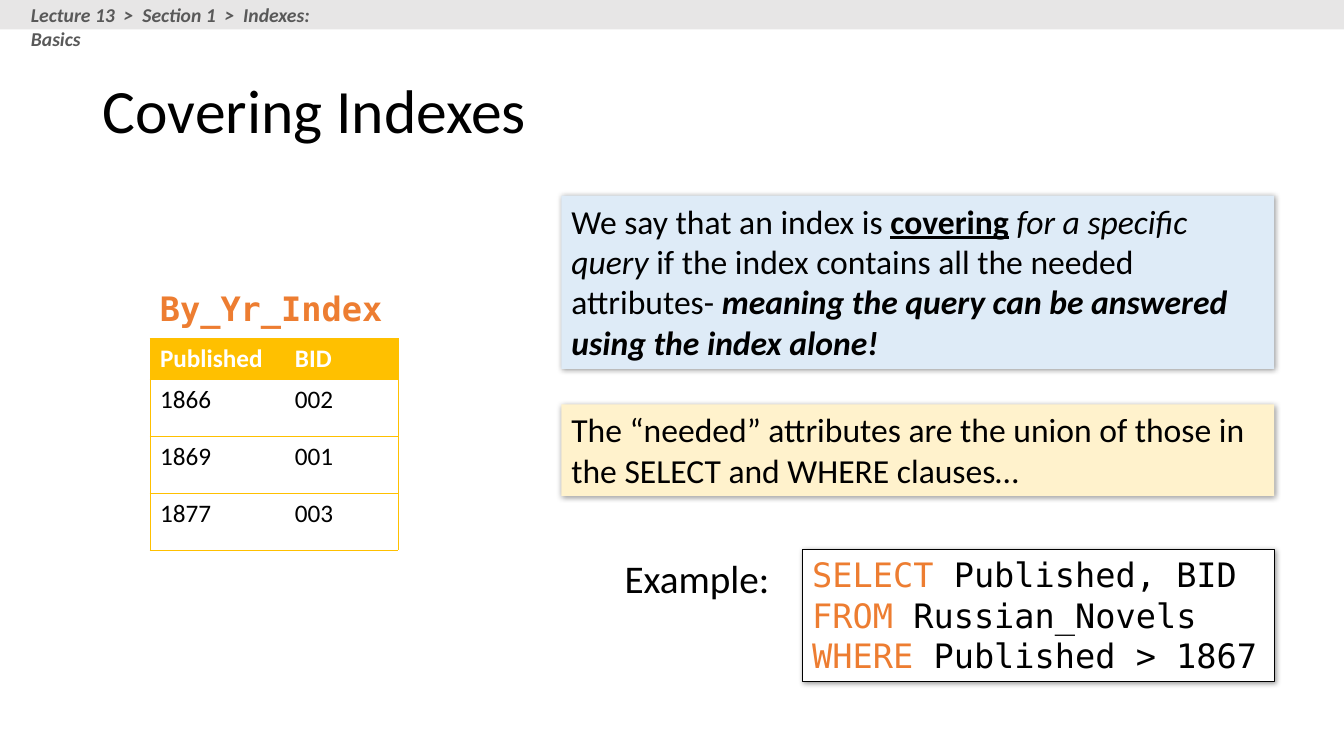
from lxml import etree
from pptx import Presentation
from pptx.dml.color import RGBColor
from pptx.enum.shapes import MSO_SHAPE
from pptx.enum.text import MSO_ANCHOR, PP_ALIGN
from pptx.oxml.ns import qn
from pptx.util import Cm, Pt

RECTANGLE = MSO_SHAPE.RECTANGLE
TOP, MIDDLE = MSO_ANCHOR.TOP, MSO_ANCHOR.MIDDLE
LEFT = PP_ALIGN.LEFT

COLORS = {
    "black": "000000",
    "white": "FFFFFF",
    "orange": "ED7D31",
    "gold": "FFC000",
    "pale_blue": "DEEBF7",
    "pale_yellow": "FFF2CC",
    "bar": "E7E6E6",
    "gray": "595959",
}
BODY = {"name": "Calibri", "size": Pt(24), "color": "black"}
CODE = {**BODY, "name": "DejaVu Sans Mono"}
KEYWORD = {**CODE, "color": "orange"}
CELL = {**BODY, "size": Pt(18)}
HEADER = {**CELL, "color": "white", "bold": True}

INDEX_ROWS = [("Published", "BID"), ("1866", "002"), ("1869", "001"), ("1877", "003")]
COLUMN_WIDTHS = (3.4, 2.85)
HEADER_HEIGHT, ROW_HEIGHT = 1.04, 1.43

BOX_LEFT, BOX_WIDTH = 14.15, 17.96
EXAMPLE_TOP = 13.84


def rgb(color):
    return RGBColor.from_string(COLORS[color])


def format_font(font, style):
    for attribute, value in style.items():
        if attribute == "color":
            font.color.rgb = rgb(value)
        else:
            setattr(font, attribute, value)


def write_text(frame, runs, wrap=True, anchor=TOP):
    """Fill the frame's first paragraph with (text, style) runs; a newline text is a line break."""
    frame.word_wrap = wrap
    frame.vertical_anchor = anchor
    paragraph = frame.paragraphs[0]
    paragraph.alignment = LEFT
    for text, style in runs:
        if text == "\n":
            paragraph.add_line_break()
            continue
        run = paragraph.add_run()
        run.text = text
        format_font(run.font, style)
    return paragraph


def add_label(slide, place, text, style, wrap=False, anchor=TOP):
    box = slide.shapes.add_textbox(*map(Cm, place))
    return write_text(box.text_frame, [(text, style)], wrap, anchor)


def add_shadow(shape):
    effects = shape._element.spPr.find(qn("a:effectLst"))
    shadow = etree.SubElement(effects, qn("a:outerShdw"), blurRad=str(Pt(4)),
                              dist=str(Pt(1)), dir=str(45 * 60000), algn="tl", rotWithShape="0")
    color = etree.SubElement(shadow, qn("a:srgbClr"), val=COLORS["black"])
    etree.SubElement(color, qn("a:alpha"), val="40000")


def add_box(slide, place, fill, runs=(), line=None, shadow=True, wrap=True):
    shape = slide.shapes.add_shape(RECTANGLE, *map(Cm, place))
    shape.shadow.inherit = False
    shape.fill.solid()
    shape.fill.fore_color.rgb = rgb(fill)
    if line:
        shape.line.color.rgb = rgb(line)
        shape.line.width = Pt(0.75)
    else:
        shape.line.fill.background()
    if shadow:
        add_shadow(shape)
    if runs:
        write_text(shape.text_frame, runs, wrap)


def set_borders(cell, colors):
    """Draw the four sides of a cell; a side whose color is None stays empty."""
    properties = cell._tc.get_or_add_tcPr()
    for side in "LRTB":
        line = etree.SubElement(properties, qn(f"a:ln{side}"), w=str(Pt(0.5)))
        if colors[side]:
            fill = etree.SubElement(line, qn("a:solidFill"))
            etree.SubElement(fill, qn("a:srgbClr"), val=COLORS[colors[side]])
        else:
            etree.SubElement(line, qn("a:noFill"))


def add_index_table(slide, left, top):
    height = HEADER_HEIGHT + ROW_HEIGHT * (len(INDEX_ROWS) - 1)
    place = (left, top, sum(COLUMN_WIDTHS), height)
    table = slide.shapes.add_table(len(INDEX_ROWS), len(COLUMN_WIDTHS), *map(Cm, place)).table
    table.horz_banding = False
    for column, width in zip(table.columns, COLUMN_WIDTHS):
        column.width = Cm(width)
    last_column = len(COLUMN_WIDTHS) - 1
    for row_number, values in enumerate(INDEX_ROWS):
        is_header = row_number == 0
        table.rows[row_number].height = Cm(HEADER_HEIGHT if is_header else ROW_HEIGHT)
        for column_number, value in enumerate(values):
            cell = table.cell(row_number, column_number)
            set_borders(cell, {
                "L": "gold" if column_number == 0 else None,
                "R": "gold" if column_number == last_column else None,
                "T": "gold",
                "B": "gold",
            })
            if is_header:
                cell.fill.solid()
                cell.fill.fore_color.rgb = rgb("gold")
            else:
                cell.fill.background()
            write_text(cell.text_frame, [(value, HEADER if is_header else CELL)])


def main():
    presentation = Presentation()
    presentation.slide_width, presentation.slide_height = Cm(33.87), Cm(19.05)
    slide = presentation.slides.add_slide(presentation.slide_layouts[6])

    title = add_label(slide, (2.34, 1.02, 29.21, 3.68), "Covering Indexes",
                      {**BODY, "size": Pt(44)}, wrap=True, anchor=MIDDLE)
    title.line_spacing = 0.9

    add_index_table(slide, 3.78, 8.53)
    add_label(slide, (3.78, 7.14, 6.2, 1.27), "By_Yr_Index", {**KEYWORD, "bold": True})

    add_box(slide, (BOX_LEFT, 4.93, BOX_WIDTH, 4.37), "pale_blue", [
        ("We say that an index is ", BODY),
        ("covering", {**BODY, "bold": True, "underline": True}),
        (" ", BODY),
        ("for a specific query", {**BODY, "italic": True}),
        (" if the index contains all the needed attributes- ", BODY),
        ("meaning the query can be answered using the index alone!",
         {**BODY, "bold": True, "italic": True}),
    ])
    add_box(slide, (BOX_LEFT, 10.19, BOX_WIDTH, 2.31), "pale_yellow", [
        ("The “needed” attributes are the union of those in the SELECT and WHERE clauses…", BODY),
    ])

    add_box(slide, (20.22, EXAMPLE_TOP, 11.89, 3.33), "white", [
        ("SELECT ", KEYWORD), ("Published, BID", CODE), ("\n", CODE),
        ("FROM ", KEYWORD), ("Russian_Novels", CODE), ("\n", CODE),
        ("WHERE ", KEYWORD), ("Published > 1867", CODE),
    ], line="black", wrap=False)
    add_label(slide, (15.49, EXAMPLE_TOP, 4.19, 1.45), "Example:", {**BODY, "size": Pt(28)})

    add_box(slide, (0, 0, 33.87, 0.74), "bar", shadow=False)
    add_label(slide, (0.53, -0.05, 8.76, 0.86), "Lecture 13  >  Section 1  >  Indexes: Basics",
              {**BODY, "size": Pt(14), "color": "gray", "bold": True, "italic": True}, wrap=True)

    presentation.save("out.pptx")


if __name__ == "__main__":
    main()
